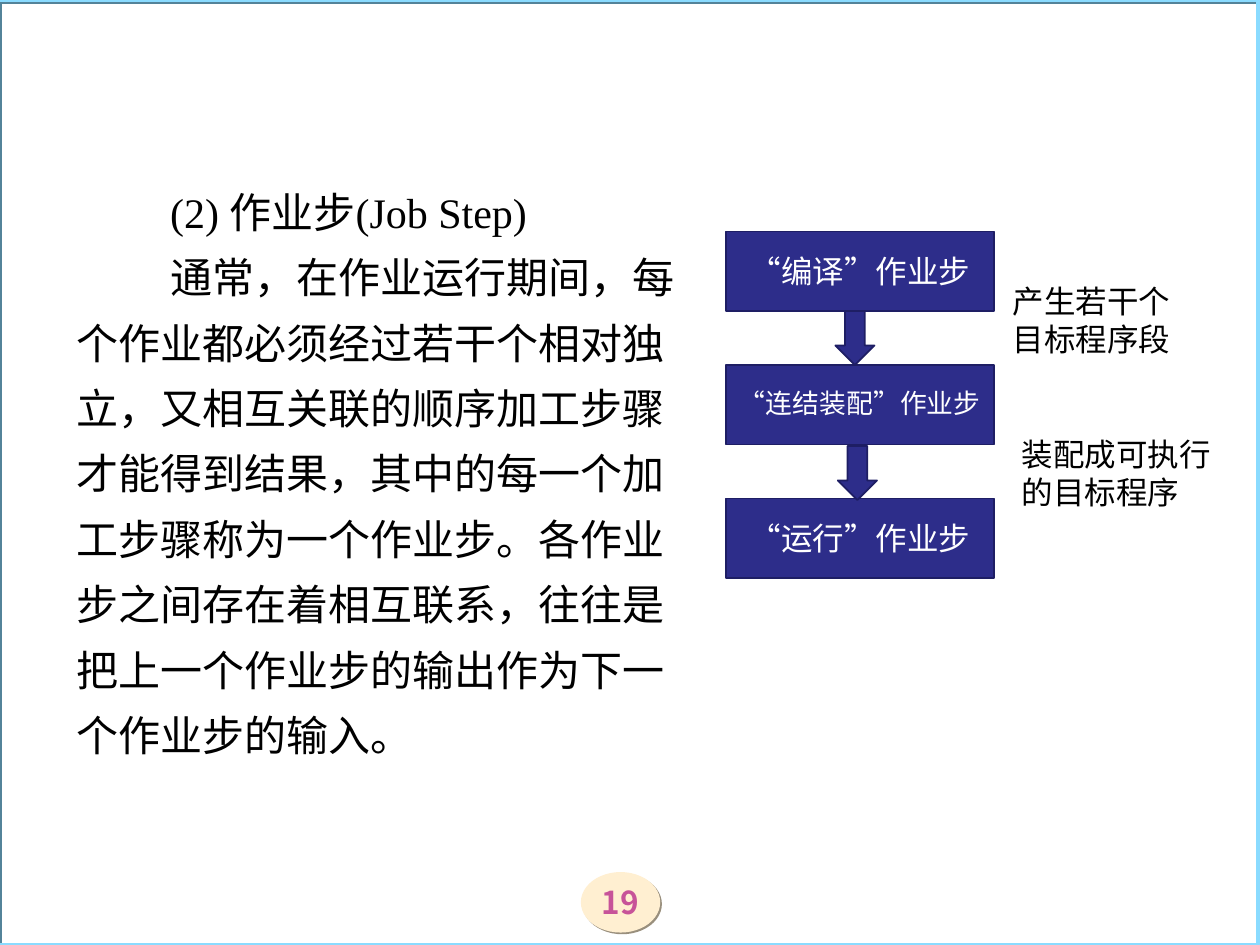
from lxml.etree import SubElement
from pptx import Presentation
from pptx.dml.color import RGBColor
from pptx.enum.shapes import MSO_SHAPE
from pptx.enum.text import MSO_ANCHOR, PP_ALIGN
from pptx.oxml.ns import qn
from pptx.util import Cm, Pt

COLOURS = {
    "navy": "2D2D8A", "navy_edge": "1E1E64", "sky": "8ADBFF", "sky_shade": "538399",
    "cream": "FFEFD1", "cream_shade": "998F7D", "pink": "C75399",
    "black": "000000", "white": "FFFFFF",
}
HAN, SERIF, MONO = "Noto Sans CJK SC", "Times New Roman", "Courier New"


class JobStepSlide:
    """Hold the style and the slide, and add each kind of element to it."""

    def __init__(self, slide):
        self.slide = slide

    def colour(self, name):
        return RGBColor.from_string(COLOURS[name])

    def apply(self, target, values):
        for name, value in values.items():
            setattr(target, name, value)

    def fill_text(self, shape, paragraphs, colour, size, frame_format, paragraph_format,
                  bold=False):
        frame = shape.text_frame
        self.apply(frame, {"word_wrap": True, **frame_format})
        for index, runs in enumerate(paragraphs):
            paragraph = frame.add_paragraph() if index else frame.paragraphs[0]
            self.apply(paragraph, paragraph_format)
            for words, typeface in runs:
                run = paragraph.add_run()
                run.text = words
                self.apply(run.font, {"name": typeface, "size": Pt(size), "bold": bold})
                run.font.color.rgb = self.colour(colour)
                properties = run._r.get_or_add_rPr()
                properties.set("lang", "zh-CN")
                SubElement(properties, qn("a:ea"), typeface=HAN)

    def block(self, preset, place, fill=None, edge=None, weight=1, shade=None):
        shape = self.slide.shapes.add_shape(preset, *map(Cm, place))
        shape.shadow.inherit = False
        if fill:
            shape.fill.solid()
            shape.fill.fore_color.rgb = self.colour(fill)
        else:
            shape.fill.background()
        if edge:
            shape.line.color.rgb = self.colour(edge)
            shape.line.width = Pt(weight)
        else:
            shape.line.fill.background()
        if shade:
            effects = shape._element.spPr.find(qn("a:effectLst"))
            shadow = SubElement(effects, qn("a:outerShdw"), dist=str(Pt(1.4)),
                                dir="2700000", algn="ctr", rotWithShape="0")
            SubElement(shadow, qn("a:srgbClr"), val=COLOURS[shade])
        return shape

    def step(self, place, runs, size, spacing):
        box = self.block(MSO_SHAPE.RECTANGLE, place, "navy", "navy_edge")
        self.fill_text(box, [runs], "white", size, {"vertical_anchor": MSO_ANCHOR.MIDDLE},
                       {"alignment": PP_ALIGN.CENTER, "line_spacing": spacing})

    def arrow(self, place):
        self.block(MSO_SHAPE.DOWN_ARROW, place, "navy", "navy_edge")

    def text(self, place, paragraphs, size, spacing, indent=0, margin_top=0.13):
        box = self.slide.shapes.add_textbox(*map(Cm, place))
        self.fill_text(box, paragraphs, "black", size,
                       {"margin_top": Cm(margin_top), "vertical_anchor": MSO_ANCHOR.TOP},
                       {"line_spacing": Pt(spacing)})
        for paragraph in box.text_frame.paragraphs:
            paragraph._p.get_or_add_pPr().set("indent", str(Cm(indent)))

    def page_number(self, place, number):
        badge = self.block(MSO_SHAPE.OVAL, place, "cream", shade="cream_shade")
        margins = dict.fromkeys(
            ("margin_left", "margin_top", "margin_right", "margin_bottom"), 0)
        self.fill_text(badge, [[(number, HAN)]], "pink", 18,
                       {"vertical_anchor": MSO_ANCHOR.MIDDLE, **margins},
                       {"alignment": PP_ALIGN.CENTER}, bold=True)


def main():
    deck = Presentation()
    deck.slide_width, deck.slide_height = Cm(25.4), Cm(19.05)
    page = JobStepSlide(deck.slides.add_slide(deck.slide_layouts[6]))

    page.page_number((11.71, 17.58, 1.6, 1.22), "19")
    page.block(MSO_SHAPE.RECTANGLE, (-0.03, 0, 25.4, 19.05),
               edge="sky", weight=2.25, shade="sky_shade")

    heading = "(2) 作业步(Job Step)"
    explanation = (
        "通常，在作业运行期间，每个作业都必须经过若干个相对独立，又相互关联的顺序加工步骤"
        "才能得到结果，其中的每一个加工步骤称为一个作业步。各作业步之间存在着相互联系，"
        "往往是把上一个作业步的输出作为下一个作业步的输入。"
    )
    page.text((1.3, 1.93, 12.6, 15.39), [[(heading, SERIF)], [(explanation, SERIF)]],
              24, 37.4, indent=1.88, margin_top=1.52)

    steps = [("编译", HAN, 18, 1.0), ("连结装配", MONO, 15.3, 0.9), ("运行", HAN, 18, 1.0)]
    for row, (action, typeface, size, spacing) in enumerate(steps):
        runs = [("“", MONO), (action, typeface), ("”", MONO), ("作业步", typeface)]
        page.step((14.63, 4.67 + 2.69 * row, 5.41, 1.6), runs, size, spacing)

    results = [((20.17, 5.56, 3.94, 1.78), "产生若干个目标程序段"),
               ((20.35, 8.64, 4.39, 1.78), "装配成可执行的目标程序")]
    for place, result in results:
        page.text(place, [[(result, HAN)]], 18, 21.7)

    for gap in range(2):
        page.arrow((16.84 + 0.05 * gap, 6.27 + 2.72 * gap, 0.79, 1.09))

    deck.save("out.pptx")


if __name__ == "__main__":
    main()
